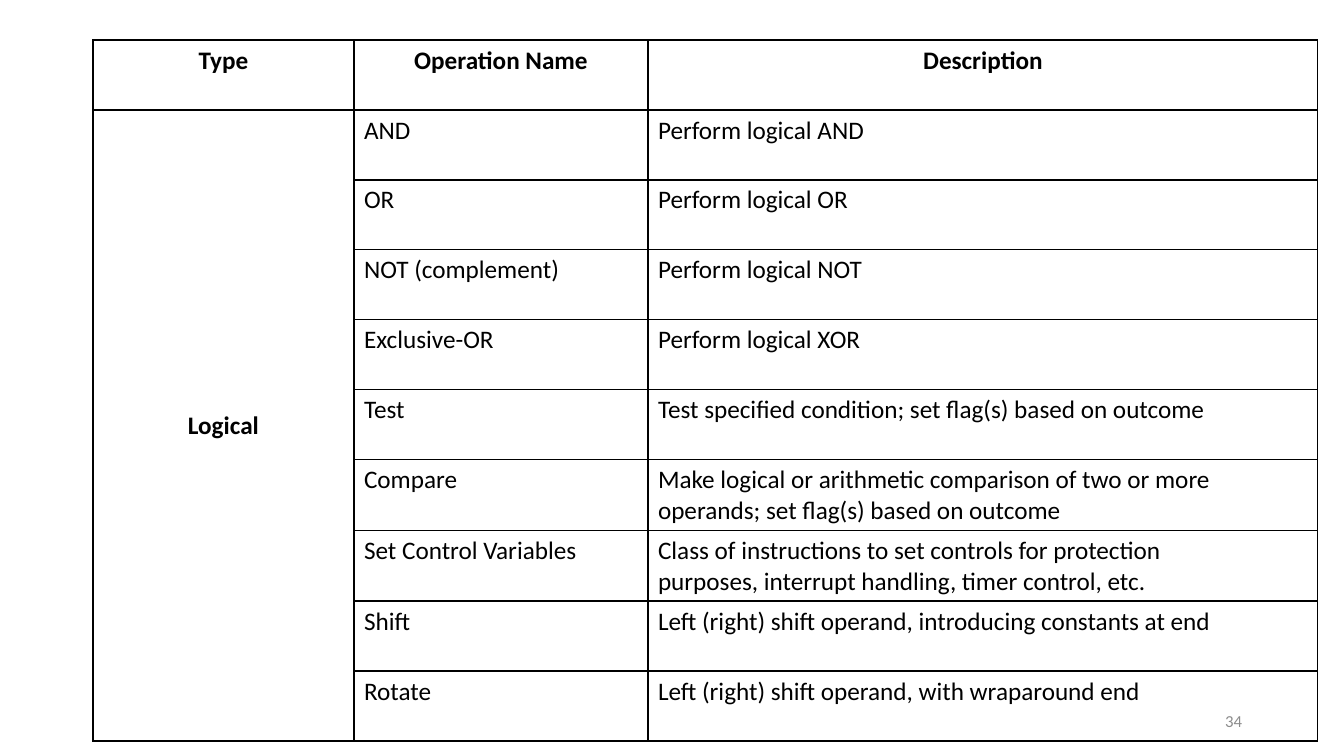
from lxml import etree
from pptx import Presentation
from pptx import util as u
from pptx.dml.color import RGBColor
from pptx.enum import text
from pptx.oxml import ns

HEAD = ("Type", "Operation Name", "Description")
GROUP = "Logical"
OPS = [
    ("AND", "Perform logical AND"),
    ("OR", "Perform logical OR"),
    ("NOT (complement)", "Perform logical NOT"),
    ("Exclusive-OR", "Perform logical XOR"),
    ("Test", "Test specified condition; set flag(s) based on outcome"),
    ("Compare", "Make logical or arithmetic comparison of two or more\n"
                "operands; set flag(s) based on outcome"),
    ("Set Control Variables", "Class of instructions to set controls for protection\n"
                              "purposes, interrupt handling, timer control, etc."),
    ("Shift", "Left (right) shift operand, introducing constants at end"),
    ("Rotate", "Left (right) shift operand, with wraparound end"),
]
PAGE = "34"
COLORS = {"ink": "000000", "page": "8C8C8C"}
FONT = "Calibri"
WIDTHS = (261, 294, 670)
ROW = 70
LEFT, TOP = 93, 40


def px(n):
    return u.Emu(round(n * 914400 / 100.8))


def write(frame, words, size, color, align, bold=False):
    frame.text = words
    for para in frame.paragraphs:
        para.alignment = align
        para.font.name = FONT
        para.font.size = u.Pt(size)
        para.font.bold = bold
        para.font.color.rgb = RGBColor.from_string(COLORS[color])


def border(cell):
    props = cell._tc.get_or_add_tcPr()
    for side in ("a:lnL", "a:lnR", "a:lnT", "a:lnB"):
        line = etree.SubElement(props, ns.qn(side), w=str(u.Pt(1)))
        fill = etree.SubElement(line, ns.qn("a:solidFill"))
        etree.SubElement(fill, ns.qn("a:srgbClr"), val=COLORS["ink"])


def add_page(slide):
    box = slide.shapes.add_textbox(px(950), px(701), px(302), px(40))
    frame = box.text_frame
    frame.word_wrap = True
    frame.vertical_anchor = text.MSO_ANCHOR.MIDDLE
    write(frame, PAGE, 12, "page", text.PP_ALIGN.RIGHT)


def add_ops(slide):
    rows = [HEAD] + [(GROUP if i == 0 else "", *op) for i, op in enumerate(OPS)]
    table = slide.shapes.add_table(
        len(rows), len(HEAD), px(LEFT), px(TOP),
        px(sum(WIDTHS)), px(ROW * len(rows))).table
    table.first_row = table.horz_banding = False
    for col, width in zip(table.columns, WIDTHS):
        col.width = px(width)
    for r, row in enumerate(rows):
        table.rows[r].height = px(ROW)
        for c, words in enumerate(row):
            cell = table.cell(r, c)
            border(cell)
            cell.fill.background()
            bold = r == 0 or c == 0
            align = text.PP_ALIGN.CENTER if bold else text.PP_ALIGN.LEFT
            write(cell.text_frame, words, 18, "ink", align, bold)
    group = table.cell(1, 0)
    group.merge(table.cell(len(OPS), 0))
    group.vertical_anchor = text.MSO_ANCHOR.MIDDLE


def main():
    deck = Presentation()
    deck.slide_width, deck.slide_height = px(1344), px(756)
    slide = deck.slides.add_slide(deck.slide_layouts[6])
    add_page(slide)
    add_ops(slide)
    deck.save("out.pptx")


if __name__ == "__main__":
    main()
